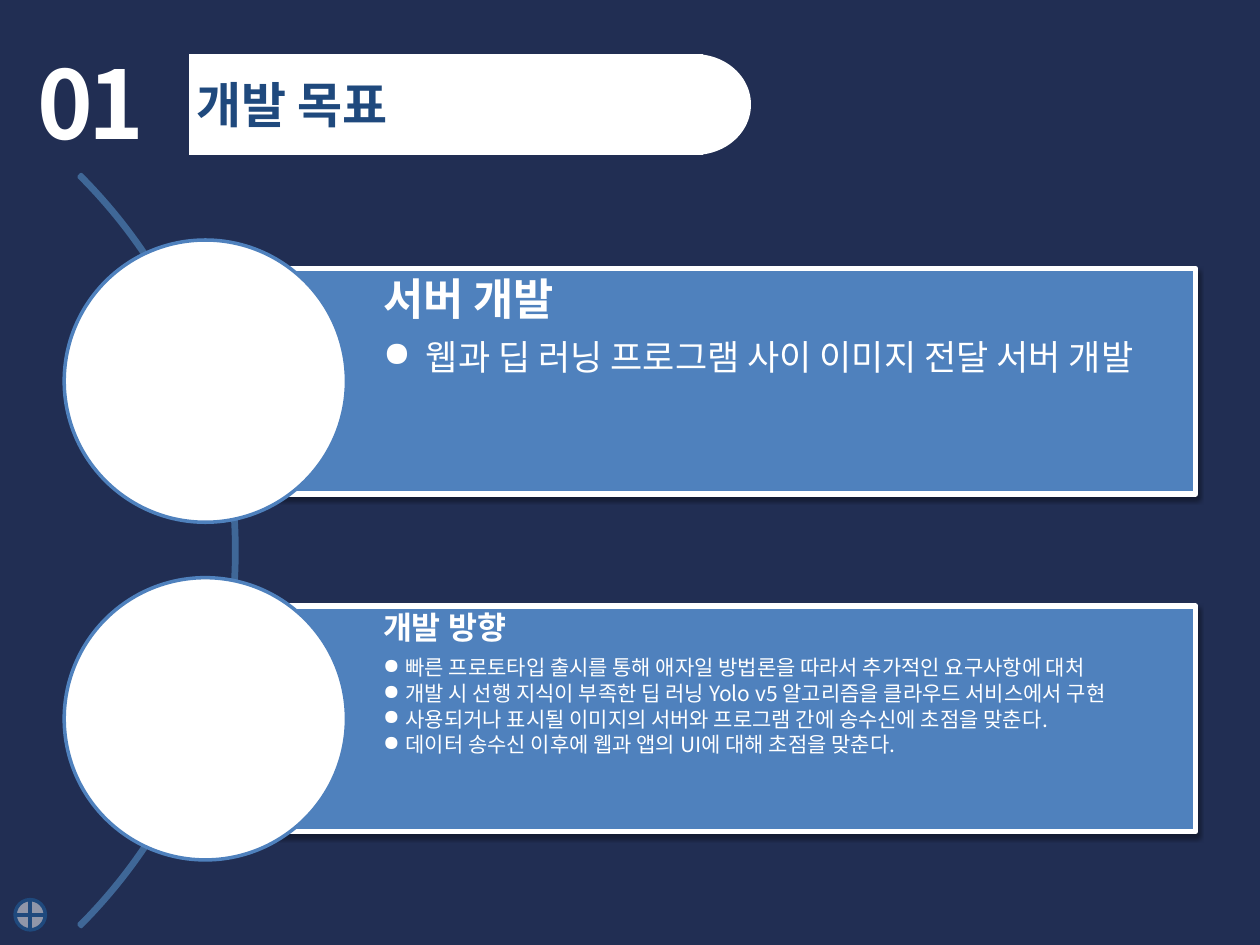
from dataclasses import dataclass

from lxml import etree
from pptx import Presentation
from pptx.dml.color import RGBColor
from pptx.enum.shapes import MSO_SHAPE as Shape
from pptx.enum.text import MSO_ANCHOR as Anchor, PP_ALIGN as Align
from pptx.oxml import parse_xml
from pptx.oxml.ns import nsdecls, qn
from pptx.util import Inches, Pt


@dataclass(frozen=True)
class Theme:
    """Colours, font and type sizes of the slide."""
    font: str = "Noto Sans CJK KR"
    background: str = "212E53"
    light: str = "FFFFFF"
    navy: str = "1F497D"
    panel: str = "4F81BD"
    arc: str = "3F6797"
    number_size: int = 54
    title_size: int = 28


@dataclass(frozen=True)
class Topic:
    """Wording and type of one panel."""
    heading: str
    points: tuple
    heading_size: int
    point_size: int
    indent: float
    inset: float


TOPICS = (
    Topic("서버 개발", ("웹과 딥 러닝 프로그램 사이 이미지 전달 서버 개발",), 25, 20, 0.34, 0.07),
    Topic("개발 방향", (
        "빠른 프로토타입 출시를 통해 애자일 방법론을 따라서 추가적인 요구사항에 대처",
        "개발 시 선행 지식이 부족한 딥 러닝 Yolo v5 알고리즘을 클라우드 서비스에서 구현",
        "사용되거나 표시될 이미지의 서버와 프로그램 간에 송수신에 초점을 맞춘다.",
        "데이터 송수신 이후에 웹과 앱의 UI에 대해 초점을 맞춘다.",
    ), 18, 12, 0.18, 0.05),
)


class SlideBuilder:
    """Draws styled elements on one slide, placed in columns and rows of a one-inch grid."""

    def __init__(self, presentation, theme):
        """Add a title-only slide with the theme's background."""
        self.theme = theme
        self.slide = presentation.slides.add_slide(presentation.slide_layouts[5])
        fill = self.slide.background.fill
        fill.solid()
        fill.fore_color.rgb = RGBColor.from_string(theme.background)

    def cell(self, *lengths):
        """Turn grid columns and rows into slide lengths."""
        return [Inches(length) for length in lengths]

    def shape(self, kind, box, fill=None, line=None, width=2):
        """Add a preset shape without a shadow."""
        shape = self.slide.shapes.add_shape(kind, *self.cell(*box))
        shape.shadow.inherit = False
        if fill:
            shape.fill.solid()
            shape.fill.fore_color.rgb = RGBColor.from_string(fill)
        else:
            shape.fill.background()
        if line:
            shape.line.color.rgb = RGBColor.from_string(line)
            shape.line.width = Pt(width)
        else:
            shape.line.fill.background()
        return shape

    def run(self, paragraph, text, size, color, bold=False):
        """Add a run in the theme's font."""
        run = paragraph.add_run()
        run.text = text
        run.font.name = self.theme.font
        run.font.size = Pt(size)
        run.font.bold = bold
        run.font.color.rgb = RGBColor.from_string(color)
        return run

    def frame(self, shape, insets=(0.1, 0.05, 0.1, 0.05)):
        """Give a text frame wrapping, top anchor and margins."""
        frame = shape.text_frame
        frame.word_wrap = True
        frame.vertical_anchor = Anchor.TOP
        (frame.margin_left, frame.margin_top,
         frame.margin_right, frame.margin_bottom) = self.cell(*insets)
        return frame

    def text_box(self, box, *insets):
        """Add a text box and return its frame."""
        return self.frame(self.slide.shapes.add_textbox(*self.cell(*box)), *insets)

    def title(self, text, box):
        """Place the title placeholder in front of the shapes drawn so far."""
        title = self.slide.shapes.title
        title.left, title.top, title.width, title.height = self.cell(*box)
        paragraph = self.frame(title).paragraphs[0]
        paragraph.alignment = Align.LEFT
        self.run(paragraph, text, self.theme.title_size, self.theme.navy, True)
        title._element.getparent().append(title._element)

    def number(self, text, box):
        """Add the large section number."""
        paragraph = self.text_box(box).paragraphs[0]
        run = self.run(paragraph, text, self.theme.number_size, self.theme.light, True)
        run.font._element.set("spc", "-300")

    def marker(self, box):
        """Add the half-transparent corner marker."""
        marker = self.shape(Shape.FLOWCHART_OR, box, self.theme.light, self.theme.navy)
        color = marker.fill._xPr.find(qn("a:solidFill"))[0]
        etree.SubElement(color, qn("a:alpha")).set("val", "50000")

    def arc(self, box):
        """Add the thin arc that links the circles."""
        arc = self.shape(Shape.BLOCK_ARC, box, line=self.theme.arc)
        for index, value in enumerate((189, 27, 0.003)):
            arc.adjustments[index] = value

    def bullet(self, paragraph, indent):
        """Give a paragraph a round bullet and a hanging indent."""
        properties = paragraph._p.get_or_add_pPr()
        properties.set("marL", str(Inches(indent)))
        properties.set("indent", str(-Inches(indent)))
        etree.SubElement(properties, qn("a:buChar")).set("char", "●")

    def panel(self, box):
        """Add a panel with a soft shadow below it."""
        panel = self.shape(Shape.RECTANGLE, box, self.theme.panel, self.theme.light, 3)
        effects = panel._element.spPr.find(qn("a:effectLst"))
        effects.append(parse_xml(
            f'<a:outerShdw {nsdecls("a")} blurRad="{Pt(3.1)}" dist="{Pt(1.6)}" dir="5400000" '
            'rotWithShape="0"><a:srgbClr val="000000"><a:alpha val="38000"/></a:srgbClr>'
            '</a:outerShdw>'))

    def topic(self, topic, top):
        """Add a panel with its heading, points and circle."""
        box = (1.62, top, 7.87, 1.79)
        self.panel(box)
        frame = self.text_box(box, (1.42, topic.inset, topic.inset, topic.inset))
        heading = frame.paragraphs[0]
        heading.line_spacing = 0.9
        heading.space_after = Pt(topic.heading_size * 0.35)
        self.run(heading, topic.heading, topic.heading_size, self.theme.light, True)
        for text in topic.points:
            point = frame.add_paragraph()
            point.line_spacing = 0.9
            point.space_after = Pt(topic.point_size * 0.15)
            point.level = 1
            self.bullet(point, topic.indent)
            self.run(point, text, topic.point_size, self.theme.light)
        self.shape(Shape.OVAL, (0.51, top - 0.225, 2.24, 2.24), self.theme.light, self.theme.panel)


def main():
    """Build the slide and save it."""
    presentation = Presentation()
    presentation.slide_width, presentation.slide_height = Inches(10), Inches(7.5)
    theme = Theme()
    builder = SlideBuilder(presentation, theme)
    builder.number("01", (0.2, 0.31, 1.52, 1.01))
    builder.marker((0.12, 7.14, 0.24, 0.24))
    builder.shape(Shape.RECTANGLE, (1.5, 0.43, 4.08, 0.8), theme.light)
    builder.shape(Shape.OVAL, (5.07, 0.43, 0.89, 0.8), theme.light)
    builder.title("개발 목표", (1.46, 0.54, 5.64, 0.57))
    builder.arc((-6.56, 0.15, 8.44, 8.44))
    for row, topic in enumerate(TOPICS):
        builder.topic(topic, 2.13 + row * 2.68)
    presentation.save("out.pptx")


if __name__ == "__main__":
    main()
